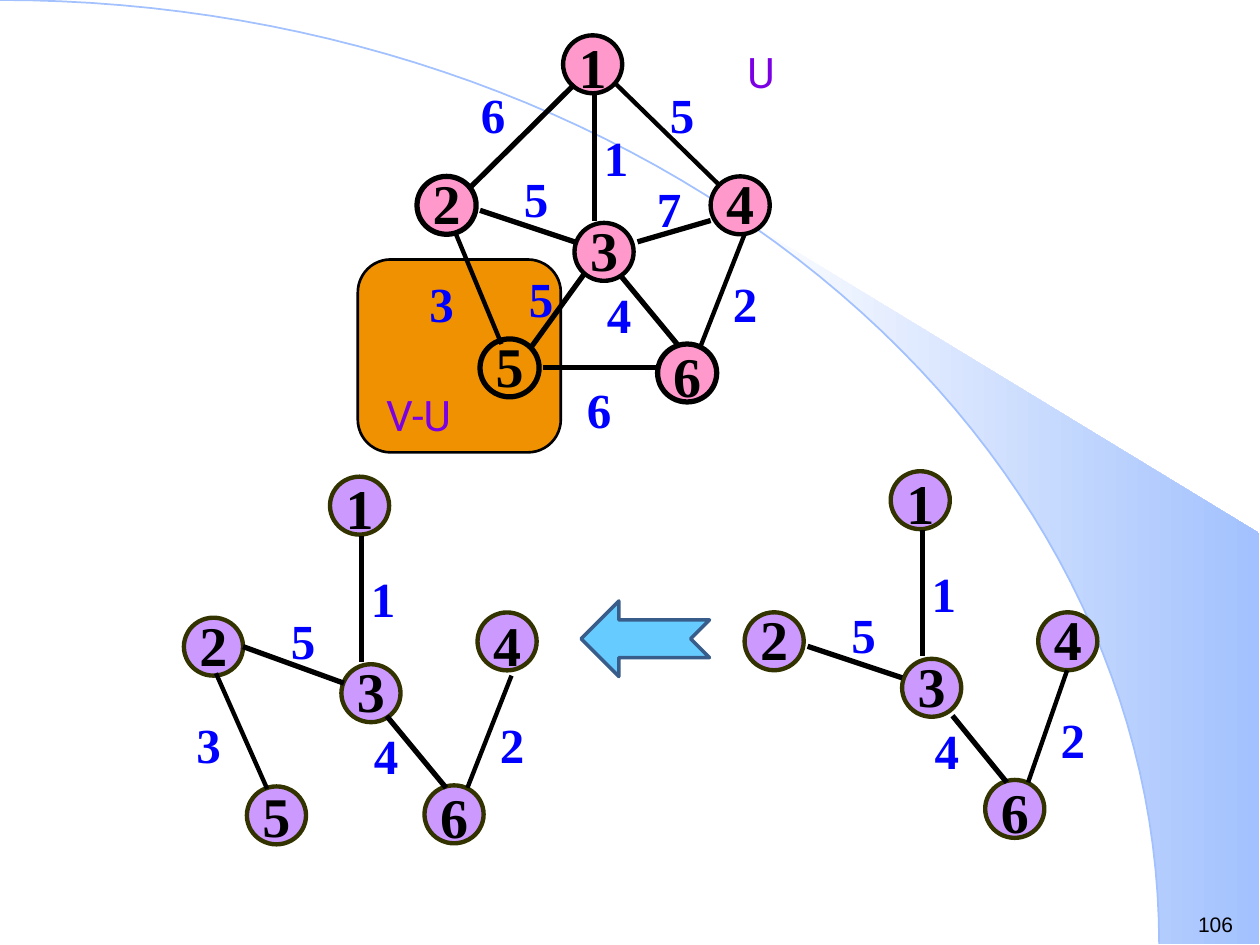
import math

import pptx
import pptx.util
import pptx.dml.color
import pptx.enum.shapes
import pptx.enum.text
import pptx.oxml.ns
from lxml import etree

Pt = pptx.util.Pt
RGB = pptx.dml.color.RGBColor
SHAPE = pptx.enum.shapes.MSO_SHAPE
ALIGN = pptx.enum.text.PP_ALIGN

BLACK = RGB(0, 0, 0)
WHITE = RGB(255, 255, 255)
SKY = RGB(0xA2, 0xC1, 0xFE)
PINK = RGB(0xFF, 0x99, 0xCC)
LILAC = RGB(0xCC, 0x99, 0xFF)
OLIVE = RGB(0x33, 0x33, 0x00)
ORANGE = RGB(0xEF, 0x91, 0x00)
VIOLET = RGB(0x7B, 0x00, 0xE4)
BLUE = RGB(0, 0, 255)
CYAN = RGB(0x66, 0xCC, 0xFF)
STEEL = RGB(0x38, 0x5D, 0x8A)

NUMBER = {"name": "Times New Roman", "size": Pt(32), "bold": True}
WEIGHT = {"name": "Times New Roman", "size": Pt(28), "bold": True}
SET_NAME = {"name": "Roboto", "size": Pt(24)}
PAGE = {"name": "Arial", "size": Pt(12)}

RING_W, RING_H = 33.8, 33.1
ARC_X, ARC_Y = 662.4, 539.3

# vertex: ring left, ring top, top of the number
VERTICES = {
    1: (321.8, 20.2, 12.2),
    2: (238.3, 100.8, 90),
    3: (328.3, 127.4, 116.6),
    4: (406.1, 100.8, 90),
    5: (274.3, 193.7, 182.9),
    6: (375.8, 196.6, 188.6),
}
# edge: ends, line width, weight, weight position, alignment
EDGES = {
    (1, 2): ((328.3, 48.2, 267.8, 108), 3, "6", (267.8, 41.8), ALIGN.LEFT),
    (1, 3): ((339.8, 54, 339.8, 126), 3, "1", (334.1, 66.2), ALIGN.CENTER),
    (1, 4): ((352.1, 48.2, 411.1, 105.8), 2.5, "5", (375.8, 41.8), ALIGN.LEFT),
    (2, 3): ((274.3, 120.2, 328.3, 138.2), 3, "5", (292.3, 90), ALIGN.LEFT),
    (2, 5): ((260.6, 133.9, 286.6, 196.6), 2.5, "3", (238.3, 149.8), ALIGN.LEFT),
    (3, 4): ((364.3, 138.2, 406.1, 126), 3, "7", (364.3, 95.8), ALIGN.CENTER),
    (3, 5): ((334.1, 156.2, 303.8, 198), 3, "5", (295.2, 146.9), ALIGN.LEFT),
    (3, 6): ((354.2, 157, 388.1, 198), 3, "4", (339.8, 156.2), ALIGN.LEFT),
    (4, 6): ((425.5, 133.9, 400.3, 198), 2.5, "2", (411.8, 149.8), ALIGN.LEFT),
    (5, 6): ((310.3, 210.2, 375.8, 210.2), 3, "6", (328.3, 210.2), ALIGN.LEFT),
}
RIGHT_TREE = [(1, 3), (2, 3), (3, 6), (4, 6)]
LEFT_TREE = RIGHT_TREE + [(2, 5)]


def style(sp, fill, line, width=1):
    sp.shadow.inherit = False
    if fill is None:
        sp.fill.background()
    else:
        sp.fill.solid()
        sp.fill.fore_color.rgb = fill
    sp.line.color.rgb = line
    sp.line.width = Pt(width)


def add_shape(s, kind, box, fill, line, width):
    sp = s.shapes.add_shape(kind, *map(Pt, box))
    style(sp, fill, line, width)
    return sp


def add_text(s, text, box, font, color, align=ALIGN.LEFT, top=6.5):
    tf = s.shapes.add_textbox(*map(Pt, box)).text_frame
    tf.word_wrap = True
    tf.margin_top = Pt(top)
    p = tf.paragraphs[0]
    p.alignment = align
    r = p.add_run()
    r.text = text
    for name, value in font.items():
        setattr(r.font, name, value)
    r.font.color.rgb = color


def add_line(s, ends, width):
    kind = pptx.enum.shapes.MSO_CONNECTOR.STRAIGHT
    c = s.shapes.add_connector(kind, *map(Pt, ends))
    c.line.color.rgb = BLACK
    c.line.width = Pt(width)
    etree.SubElement(c._element.spPr, pptx.oxml.ns.qn("a:effectLst"))


def add_outline(s, points, close):
    (x, y), *rest = points
    fb = s.shapes.build_freeform(Pt(x), Pt(y))
    fb.add_line_segments([(Pt(x), Pt(y)) for x, y in rest], close=close)
    return fb.convert_to_shape()


def arc_points(start, end, steps=60):
    """Points on the quarter ellipse centred on the lower left corner."""
    angles = [math.radians(start + (end - start) * i / steps)
              for i in range(steps + 1)]
    return [(ARC_X * math.cos(a), ARC_Y * (1 - math.sin(a))) for a in angles]


def add_backdrop(s):
    wedge = add_outline(s, arc_points(50.2, 0) + [(719.3, 539.3), (719.3, 304.6)], True)
    wedge.shadow.inherit = False
    wedge.line.fill.background()
    wedge.fill.gradient()
    wedge.fill.gradient_angle = 0
    for stop, color, position in zip(wedge.fill.gradient_stops, (WHITE, SKY), (0, 1)):
        stop.color.rgb = color
        stop.position = position
    style(add_outline(s, arc_points(90, 0), False), None, SKY)


def add_graph(s, dx, dy, edges, fill, line, widths={}, hollow=(),
              ring_shift={}, end_shift={}):
    """Draw the given edges and their vertices, moved by dx, dy."""
    for v in sorted({v for edge in edges for v in edge}):
        x, y, text_y = VERTICES[v]
        ring_dy, text_dy = ring_shift.get(v, (0, 0))
        add_shape(s, SHAPE.OVAL, (x + dx, y + dy + ring_dy, RING_W, RING_H),
                  None if v in hollow else fill, line, widths.get(v, 2.5))
        add_text(s, str(v), (x + dx, text_y + dy + text_dy, RING_W, 45),
                 NUMBER, BLACK, ALIGN.CENTER)
    for edge in edges:
        ends, width, weight, (x, y), align = EDGES[edge]
        shift = end_shift.get(edge, (0, 0, 0, 0))
        add_line(s, [e + d + m for e, d, m in zip(ends, (dx, dy) * 2, shift)], width)
        add_text(s, weight, (x + dx, y + dy, 36, 41), WEIGHT, BLUE, align)


def main():
    prs = pptx.Presentation()
    prs.slide_width, prs.slide_height = Pt(720), Pt(540)
    s = prs.slides.add_slide(prs.slide_layouts[6])
    add_backdrop(s)
    add_text(s, "106", (677.5, 517, 42.5, 21.6), PAGE, BLACK, top=4)

    add_graph(s, 187.2, 249.1, RIGHT_TREE, LILAC, OLIVE,
              end_shift={(3, 6): (2.9, 2.9, 0, 0), (4, 6): (-2.9, 0, 0, 0)})
    box = add_shape(s, SHAPE.ROUNDED_RECTANGLE, (204.5, 148.3, 116, 110.2),
                    ORANGE, BLACK, 1.5)
    box.adjustments[0] = 0.17
    add_text(s, "U", (420, 20.2, 48, 36), SET_NAME, VIOLET)
    add_text(s, "V-U", (213.6, 216, 72, 36), SET_NAME, VIOLET)
    add_graph(s, 0, 0, EDGES, PINK, BLACK, widths={2: 3, 5: 3, 6: 3}, hollow=(5,))
    add_graph(s, -133.2, 252.2, LEFT_TREE, LILAC, OLIVE,
              ring_shift={4: (-3, 0), 5: (3.5, 5)},
              end_shift={(2, 3): (-2.2, -2.9, 1.4, 0), (2, 5): (-4, -1.4, -0.7, 2)})
    arrow = add_shape(s, SHAPE.NOTCHED_RIGHT_ARROW, (332, 343.4, 73.4, 43.2),
                      CYAN, STEEL, 2)
    arrow.rotation = 180
    prs.save("out.pptx")


if __name__ == "__main__":
    main()
